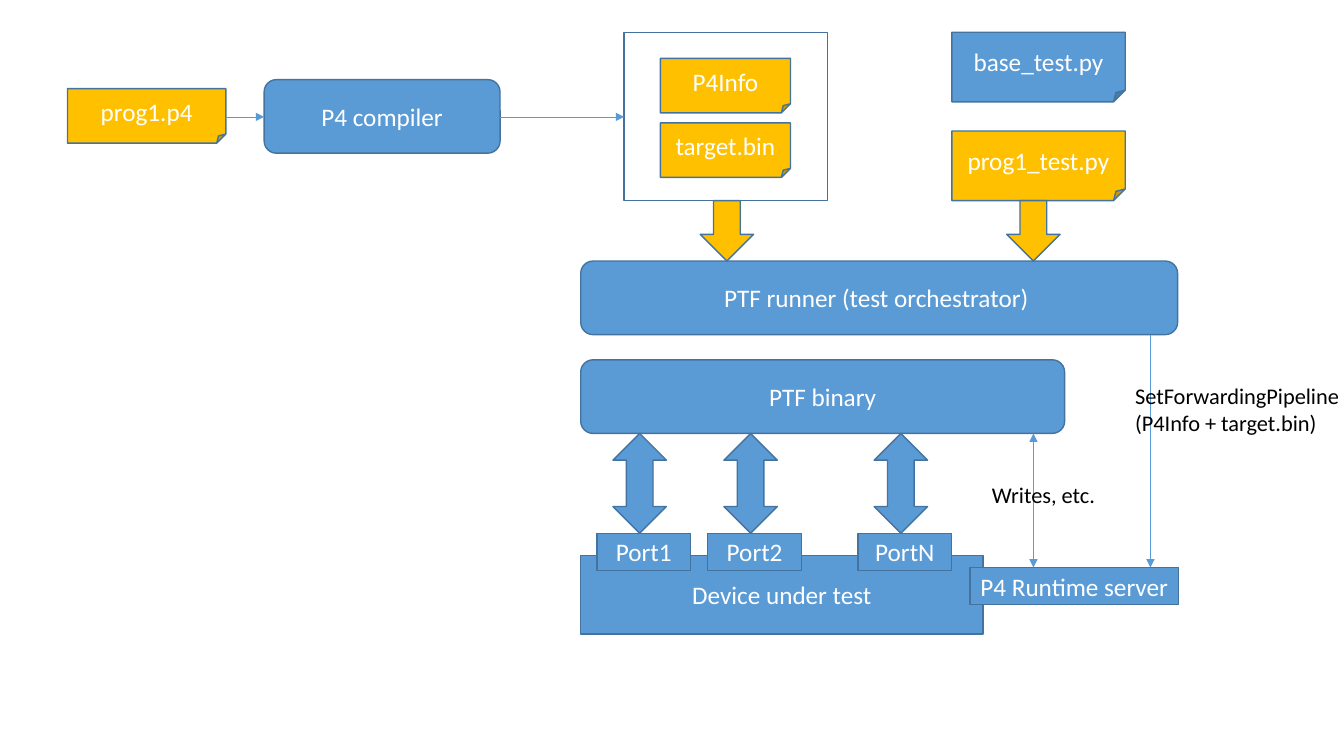
from pptx import Presentation
from pptx.dml.color import RGBColor
from pptx.enum.shapes import MSO_CONNECTOR, MSO_SHAPE
from pptx.enum.text import MSO_ANCHOR, MSO_AUTO_SIZE, PP_ALIGN
from pptx.oxml.ns import qn
from pptx.util import Inches, Pt
from lxml import etree

COLOR = {"blue": "5B9BD5", "amber": "FFC000", "edge": "43739E",
         "light": "FFFFFF", "dark": "000000"}
FONT = "Calibri"

# Grid lines, in inches
COL = {"source": 0.67, "compiler": 2.62, "runtime": 5.76, "outputs": 6.19,
       "files": 6.55, "tests": 9.44, "server": 9.62}
ROW = {"top": 0.32, "info": 0.58, "compiler": 0.79, "source": 0.88,
       "target": 1.22, "test": 1.30, "runner": 2.59, "binary": 3.57,
       "port": 5.29, "device": 5.51, "server": 5.63}
BAR, FILE, TEST, TAB = 0.73, 0.54, 0.69, 0.37  # heights
PORT_W, ARROW_W = 0.93, 0.53

ROUND, NOTE, RECT = (MSO_SHAPE.ROUNDED_RECTANGLE, MSO_SHAPE.FOLDED_CORNER,
                     MSO_SHAPE.RECTANGLE)
# text, shape, fill, column, row, width, height
BOXES = [
    ("P4 compiler", ROUND, "blue", "compiler", "compiler", 2.34, BAR),
    ("prog1.p4", NOTE, "amber", "source", "source", 1.57, FILE),
    ("PTF binary", ROUND, "blue", "runtime", "binary", 4.80, BAR),
    ("Device under test", RECT, "blue", "runtime", "device", 3.99, 0.78),
    ("PTF runner (test orchestrator) ", ROUND, "blue", "runtime", "runner", 5.92, BAR),
    ("base_test.py", NOTE, "blue", "tests", "top", 1.72, TEST),
    ("prog1_test.py", NOTE, "amber", "tests", "test", 1.72, TEST),
    ("P4 Runtime server", RECT, "blue", "server", "server", 2.07, TAB),
    ("", RECT, None, "outputs", "top", 2.02, 1.67),
    ("P4Info", NOTE, "amber", "files", "info", 1.29, FILE),
    ("target.bin", NOTE, "amber", "files", "target", 1.29, FILE),
]
PORTS = [("Port1", 5.92), ("Port2", 7.02), ("PortN", 8.51)]
PORT_ARROW_SHIFT = -0.04

WRITES_X, PIPELINE_X, OUTPUTS_X = 10.25, 11.41, 7.21
COMPILE_Y = 1.16
RUNNER_END, BINARY_END = ROW["runner"] + BAR, ROW["binary"] + BAR
INPUT_END = ROW["test"] + TEST
# start, end, arrow at both ends
LINES = [
    ((PIPELINE_X, RUNNER_END), (PIPELINE_X, ROW["server"]), False),
    ((WRITES_X, BINARY_END), (WRITES_X, ROW["server"]), True),
    ((COL["source"] + 1.57, COMPILE_Y), (COL["compiler"], COMPILE_Y), False),
    ((COL["compiler"] + 2.34, COMPILE_Y), (COL["outputs"], COMPILE_Y), False),
]
# lines of text, left, top, width, height, wrap
LABELS = [
    (["SetForwardingPipeline", "(P4Info + target.bin)"], 11.16, 3.74, 2.36, 0.64, True),
    (["Writes, etc."], 9.74, 4.72, 1.24, 0.37, False),
]


def rgb(name):
    return RGBColor.from_string(COLOR[name])


def add_run(p, text, size, color):
    r = p.add_run()
    r.text = text
    r.font.name, r.font.size = FONT, Pt(size)
    r.font.color.rgb = rgb(color)


def add_box(s, kind, fill, x, y, w, h, text=""):
    sp = s.shapes.add_shape(kind, Inches(x), Inches(y), Inches(w), Inches(h))
    sp.shadow.inherit = False
    if fill:
        sp.fill.solid()
        sp.fill.fore_color.rgb = rgb(fill)
    else:
        sp.fill.background()
    sp.line.color.rgb = rgb("edge")
    sp.line.width = Pt(1)
    if text:
        tf = sp.text_frame
        tf.vertical_anchor = MSO_ANCHOR.MIDDLE
        tf.margin_left = tf.margin_right = Inches(0.05)
        p = tf.paragraphs[0]
        p.alignment = PP_ALIGN.CENTER
        add_run(p, text, 18, "light")


def add_block_arrow(s, kind, fill, center, top, bottom):
    add_box(s, kind, fill, center - ARROW_W / 2, top, ARROW_W, bottom - top)


def add_line(s, start, end, both):
    c = s.shapes.add_connector(MSO_CONNECTOR.STRAIGHT,
                               *(Inches(v) for v in start + end))
    c.line.color.rgb = rgb("blue")
    c.line.width = Pt(0.5)
    ln = c.line._get_or_add_ln()
    for tag in (["a:headEnd"] if both else []) + ["a:tailEnd"]:
        etree.SubElement(ln, qn(tag)).set("type", "triangle")
    etree.SubElement(c._element.spPr, qn("a:effectLst"))


def add_label(s, lines, x, y, w, h, wrap):
    tf = s.shapes.add_textbox(Inches(x), Inches(y), Inches(w), Inches(h)).text_frame
    tf.word_wrap = wrap
    tf.auto_size = MSO_AUTO_SIZE.SHAPE_TO_FIT_TEXT
    p = tf.paragraphs[0]
    for i, line in enumerate(lines):
        if i:
            p.add_line_break()
        add_run(p, line, 16, "dark")


def main():
    prs = Presentation()
    prs.slide_width, prs.slide_height = Inches(13.33), Inches(7.5)
    s = prs.slides.add_slide(prs.slide_layouts[6])
    for text, kind, fill, col, row, w, h in BOXES:
        add_box(s, kind, fill, COL[col], ROW[row], w, h, text)
    for text, x in PORTS:
        add_box(s, RECT, "blue", x, ROW["port"], PORT_W, TAB, text)
        add_block_arrow(s, MSO_SHAPE.UP_DOWN_ARROW, "blue",
                        x + PORT_W / 2 + PORT_ARROW_SHIFT, BINARY_END, ROW["port"])
    for line in LINES:
        add_line(s, *line)
    for label in LABELS:
        add_label(s, *label)
    for center in (OUTPUTS_X, WRITES_X):
        add_block_arrow(s, MSO_SHAPE.DOWN_ARROW, "amber", center,
                        INPUT_END, ROW["runner"])
    prs.save("out.pptx")


if __name__ == "__main__":
    main()
